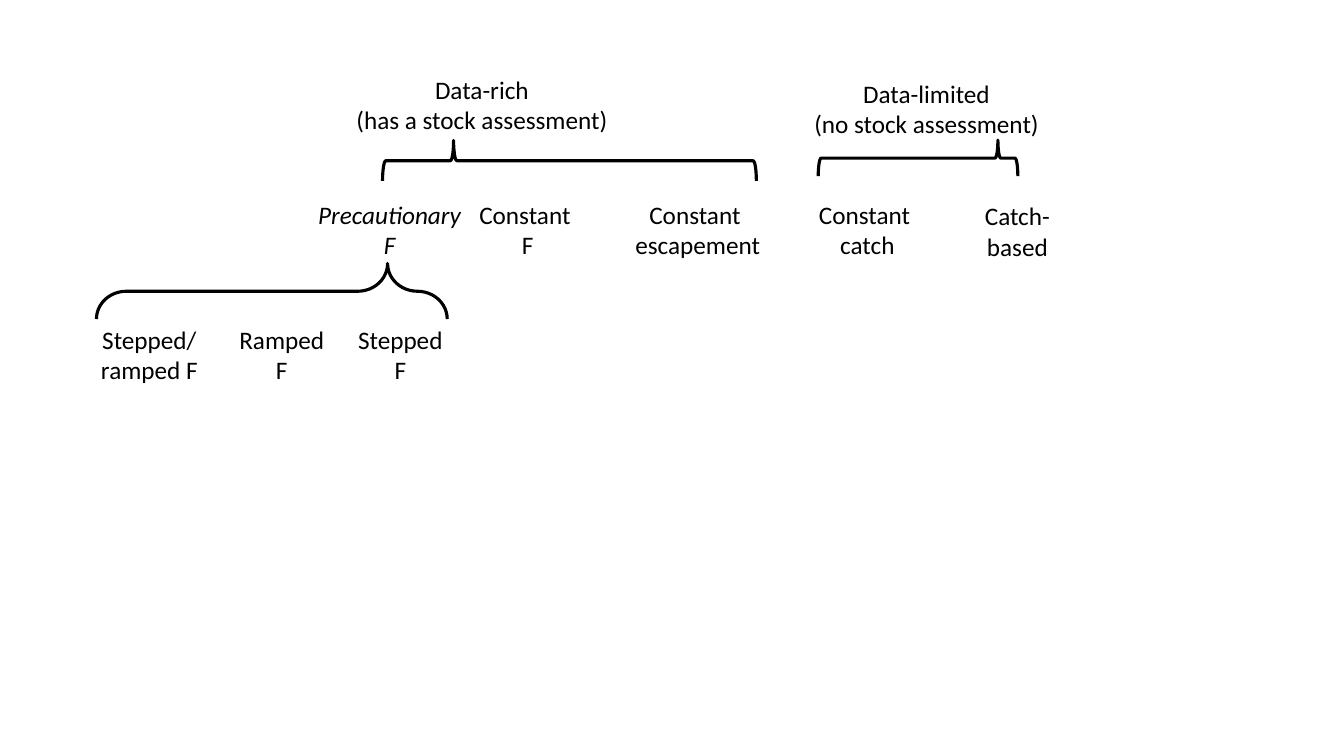
from dataclasses import dataclass

from pptx import Presentation
from pptx.dml.color import RGBColor
from pptx.enum.shapes import MSO_SHAPE
from pptx.enum.text import MSO_AUTO_SIZE, PP_ALIGN
from pptx.util import Cm, Pt

LEFT_BRACE = MSO_SHAPE.LEFT_BRACE
CENTER = PP_ALIGN.CENTER
FIT_SHAPE = MSO_AUTO_SIZE.SHAPE_TO_FIT_TEXT

FONT = "Calibri"
BLACK = "000000"
LABEL_HEIGHT = 1.8
RULE_TOP, VARIANT_TOP = 4.9, 8.05


@dataclass
class Label:
    lines: tuple[str, str]
    left: float
    top: float
    width: float
    wrap: bool = False
    italic: bool = False


@dataclass
class Brace:
    """Brace opening downwards; the lengths are those seen on the slide."""
    left: float
    top: float
    width: float
    height: float
    curve: float
    tip: float


LABELS = [
    # Data situations
    Label(("Data-rich", "(has a stock assessment)"), 8.69, 1.75, 6.91),
    Label(("Data-limited", "(no stock assessment)"), 20.24, 1.85, 6.22),
    # Harvest control rules
    Label(("Catch-", "based"), 24.56, 4.93, 2.16),
    Label(("Constant ", "catch"), 20.35, RULE_TOP, 3.02),
    Label(("Constant ", "escapement"), 15.72, RULE_TOP, 3.73),
    Label(("Constant ", "F"), 11.79, RULE_TOP, 3.02),
    Label(("Precautionary", "F"), 7.75, RULE_TOP, 4.14, italic=True),
    # Precautionary variants
    Label(("Stepped", "F"), 8.2, VARIANT_TOP, 3.78, wrap=True),
    Label(("Ramped", "F"), 5.13, VARIANT_TOP, 3.94, wrap=True),
    Label(("Stepped/", "ramped F"), 2.01, VARIANT_TOP, 3.51, wrap=True),
]

BRACES = [
    Brace(9.64, 3.54, 9.42, 1.02, 0.08, 0.81),
    Brace(20.62, 3.53, 5.03, 0.91, 0.08, 0.1),
    Brace(2.43, 6.64, 8.84, 1.4, 0.71, 0.17),
]


def color(value: str) -> RGBColor:
    return RGBColor.from_string(value)


def add_label(s, label: Label) -> None:
    sp = s.shapes.add_textbox(Cm(label.left), Cm(label.top),
                              Cm(label.width), Cm(LABEL_HEIGHT))
    tf = sp.text_frame
    tf.word_wrap = label.wrap
    tf.auto_size = FIT_SHAPE
    for i, line in enumerate(label.lines):
        p = tf.add_paragraph() if i else tf.paragraphs[0]
        p.alignment = CENTER
        r = p.add_run()
        r.text = line
        r.font.name = FONT
        r.font.size = Pt(18)
        r.font.color.rgb = color(BLACK)
        if label.italic:
            r.font.italic = True


def add_brace(s, brace: Brace) -> None:
    # Width and height swap because the brace is turned a quarter about its centre
    shift = (brace.width - brace.height) / 2
    sp = s.shapes.add_shape(LEFT_BRACE, Cm(brace.left + shift), Cm(brace.top - shift),
                            Cm(brace.height), Cm(brace.width))
    sp.rotation = 90
    sp.adjustments[0] = brace.curve
    sp.adjustments[1] = brace.tip
    sp.shadow.inherit = False
    sp.fill.background()
    sp.line.color.rgb = color(BLACK)
    sp.line.width = Pt(2.25)


def main() -> None:
    prs = Presentation()
    prs.slide_width, prs.slide_height = Cm(33.87), Cm(19.05)
    s = prs.slides.add_slide(prs.slide_layouts[6])
    for label in LABELS:
        add_label(s, label)
    for brace in BRACES:
        add_brace(s, brace)
    prs.save("out.pptx")


if __name__ == "__main__":
    main()
